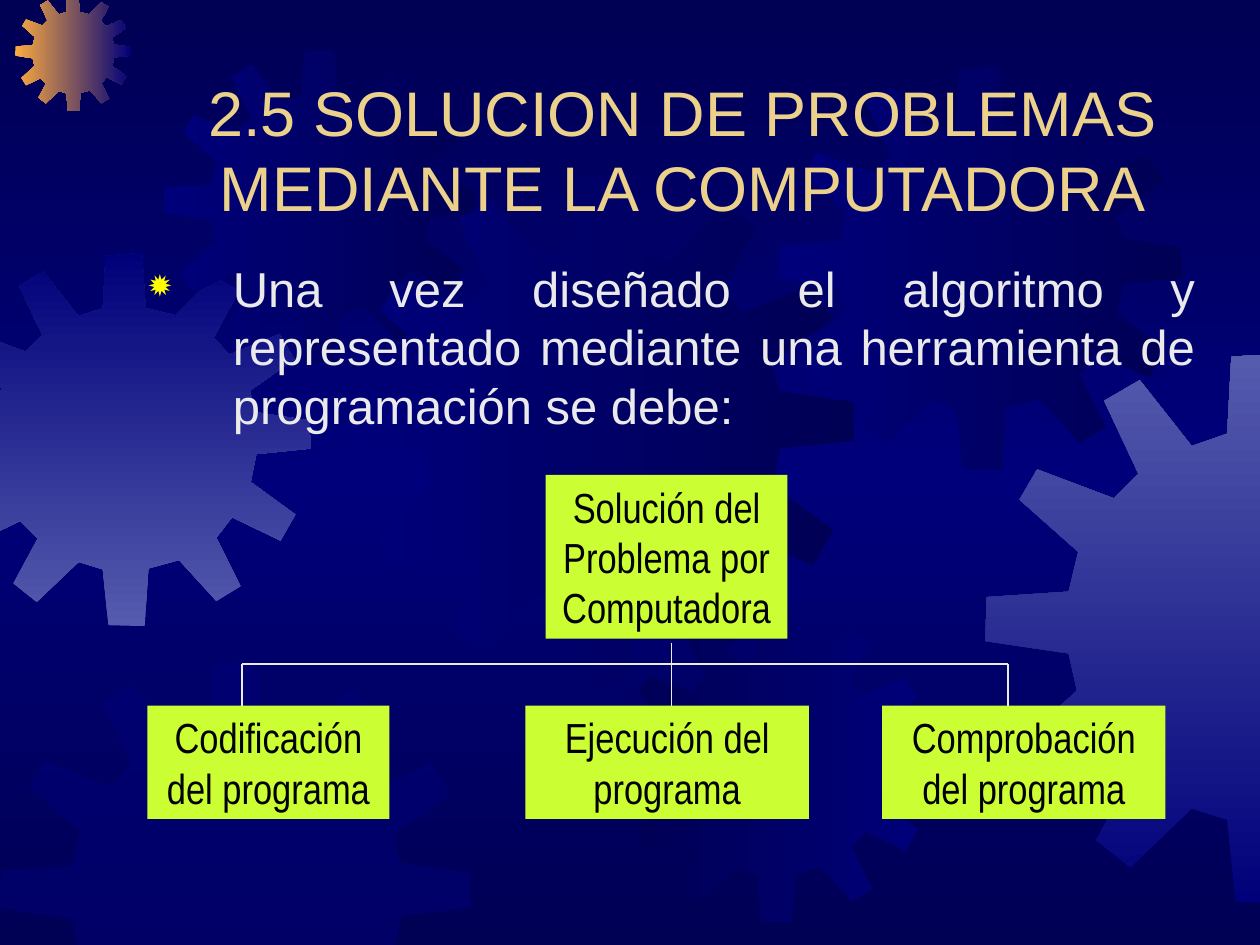
from copy import deepcopy

from pptx import Presentation
from pptx.dml.color import RGBColor
from pptx.enum.shapes import MSO_CONNECTOR, MSO_SHAPE
from pptx.enum.text import MSO_ANCHOR, MSO_AUTO_SIZE, PP_ALIGN
from pptx.oxml.ns import qn
from pptx.util import Inches, Pt
from lxml.etree import SubElement

WIDTH, HEIGHT = 10, 7.5
COLORS = {
    "night": "000054", "navy": "00007A", "haze": "555BAD", "orange": "FCAB40",
    "title": "EBD189", "text": "EAEAEA", "bullet": "FFFF00",
    "box": "CCFF33", "box_text": "000000",
}
GEAR_SIZE = 401
GEAR_OUTLINE = [
    (255, 67), (223, 59), (219, 0), (180, 3), (177, 59), (151, 68),
    (113, 20), (87, 35), (112, 88), (94, 106), (38, 85), (25, 107),
    (68, 145), (61, 174), (1, 178), (0, 210), (61, 219), (67, 246),
    (22, 287), (38, 312), (88, 288), (107, 307), (81, 355), (106, 375),
    (151, 332), (177, 340), (183, 400), (222, 401), (226, 339), (259, 330),
    (299, 374), (325, 358), (299, 306), (316, 284), (368, 309), (384, 281),
    (336, 246), (342, 216), (401, 210), (400, 180), (341, 171), (335, 148),
    (383, 114), (367, 87), (313, 109), (296, 91), (323, 41), (297, 25),
]
GEARS = [
    ((-0.49, 2.01, 2.96, 2.96), ("haze", "navy"), 90),
    ((0.12, -0.04, 0.92, 0.92), ("orange", "navy"), 0),
    ((1.3, 0.39, 2.48, 2.48), ("night", "navy"), 180),
    ((2.77, 1.39, 4.01, 4.02), ("navy", "night"), 0),
    ((0, 5.25, 3.74, 3.74), ("navy",), 0),
    ((4.91, 4.84, 2.48, 2.48), ("night", "navy"), 0),
    ((6.18, 0.53, 3.2, 3.2), ("navy", "night"), 0),
    ((7.82, 2.8, 4.35, 4.37), ("navy", "haze"), 90),
]


def color(name):
    return RGBColor.from_string(COLORS[name])


def apply(target, values):
    for name, value in values.items():
        setattr(target, name, value)


def paint_gradient(fill, names, angle):
    fill.gradient()
    fill.gradient_angle = angle
    for stop, name, position in zip(fill.gradient_stops, names, (0, 1)):
        stop.color.rgb = color(name)
        stop.position = position


def paint_background(slide):
    fill = slide.background.fill
    paint_gradient(fill, ("night", "navy"), 270)
    stops = next(slide._element.iter(qn("a:gsLst")))
    stops.append(deepcopy(stops[0]))
    fill.gradient_stops[1].position = 0.5
    fill.gradient_stops[2].position = 1


def clip(points, axis, limit, sign):
    kept = []
    for start, end in zip(points[-1:] + points[:-1], points):
        before, after = ((point[axis] - limit) * sign for point in (start, end))
        if before * after < 0:
            share = before / (before - after)
            kept.append(tuple(a + (b - a) * share for a, b in zip(start, end)))
        if after >= 0:
            kept.append(end)
    return kept


def add_gear(slide, box, fill_names, angle):
    left, top, width, height = box
    points = [(left + x * width / GEAR_SIZE, top + y * height / GEAR_SIZE)
              for x, y in GEAR_OUTLINE]
    for axis, limit, sign in ((0, 0, 1), (0, WIDTH, -1), (1, 0, 1), (1, HEIGHT, -1)):
        points = clip(points, axis, limit, sign)
    corners = [(Inches(x), Inches(y)) for x, y in points]
    builder = slide.shapes.build_freeform(*corners[0])
    builder.add_line_segments(corners[1:], close=True)
    gear = builder.convert_to_shape()
    gear.shadow.inherit = False
    gear.line.fill.background()
    if len(fill_names) > 1:
        paint_gradient(gear.fill, fill_names, angle)
        return
    gear.fill.solid()
    gear.fill.fore_color.rgb = color(fill_names[0])
    rgb = next(gear._element.iter(qn("a:srgbClr")))
    SubElement(rgb, qn("a:alpha"), val="50000")


def write(shape, text, frame_format, paragraph_format, font_format, color_name):
    frame = shape.text_frame
    apply(frame, {"word_wrap": True, **frame_format})
    paragraph = frame.paragraphs[0]
    apply(paragraph, paragraph_format)
    run = paragraph.add_run()
    run.text = text
    apply(run.font, font_format)
    run.font.color.rgb = color(color_name)
    return paragraph


def add_title(slide, box):
    shape = slide.shapes.add_textbox(*map(Inches, box))
    write(shape, "2.5 SOLUCION DE PROBLEMAS MEDIANTE LA COMPUTADORA",
          {"vertical_anchor": MSO_ANCHOR.BOTTOM}, {"alignment": PP_ALIGN.CENTER},
          {"name": "Arial", "size": Pt(36)}, "title")


def add_body(slide, box):
    shape = slide.shapes.add_textbox(*map(Inches, box))
    paragraph = write(
        shape,
        "Una vez diseñado el algoritmo y representado mediante una herramienta "
        "de programación se debe:",
        {"vertical_anchor": MSO_ANCHOR.TOP},
        {"alignment": PP_ALIGN.JUSTIFY, "space_before": Pt(7)},
        {"name": "Arial", "size": Pt(28)}, "text")
    properties = paragraph._p.get_or_add_pPr()
    indent = Inches(0.67)
    properties.set("marL", str(indent))
    properties.set("indent", str(-indent))
    bullet_color = SubElement(properties, qn("a:buClr"))
    SubElement(bullet_color, qn("a:srgbClr"), val=COLORS["bullet"])
    SubElement(properties, qn("a:buSzPct"), val="80000")
    SubElement(properties, qn("a:buChar"), char="✹")


def add_box(slide, box, text):
    shape = slide.shapes.add_shape(MSO_SHAPE.RECTANGLE, *map(Inches, box))
    shape.shadow.inherit = False
    shape.fill.solid()
    shape.fill.fore_color.rgb = color("box")
    shape.line.fill.background()
    write(shape, text,
          {"vertical_anchor": MSO_ANCHOR.TOP,
           "auto_size": MSO_AUTO_SIZE.SHAPE_TO_FIT_TEXT},
          {"alignment": PP_ALIGN.CENTER, "space_before": Pt(15)},
          {"name": "Arial Narrow", "size": Pt(24)}, "box_text")


def add_line(slide, *ends):
    line = slide.shapes.add_connector(MSO_CONNECTOR.STRAIGHT, *map(Inches, ends))
    line.line.color.rgb = color("text")
    line.line.width = Pt(0.75)
    SubElement(line._element.spPr, qn("a:effectLst"))


def add_hierarchy(slide, box):
    left, top, width, height = box
    child_height = 0.9
    child_top = top + height - child_height
    rail = top + 1.5
    branches = [
        (0, 1.92, 0.75, "Codificación del programa"),
        (3, 2.25, 4.16, "Ejecución del programa"),
        (width - 2.25, 2.25, 6.83, "Comprobación del programa"),
    ]
    add_box(slide, (left + 3.16, top, 1.92, 1.3), "Solución del Problema por Computadora")
    for offset, child_width, _, text in branches:
        add_box(slide, (left + offset, child_top, child_width, child_height), text)
    stems = [left + stem for _, _, stem, _ in branches]
    add_line(slide, stems[0], rail, stems[-1], rail)
    add_line(slide, stems[1], top + 1.33, stems[1], rail)
    for stem in stems:
        add_line(slide, stem, rail, stem, child_top)


def main():
    presentation = Presentation()
    apply(presentation, {"slide_width": Inches(WIDTH), "slide_height": Inches(HEIGHT)})
    slide = presentation.slides.add_slide(presentation.slide_layouts[6])
    paint_background(slide)
    for gear in GEARS:
        add_gear(slide, *gear)
    add_title(slide, (1.17, 0.58, 8.5, 1.25))
    add_body(slide, (1.08, 2, 8.5, 1.67))
    add_hierarchy(slide, (1.17, 3.77, 8.08, 2.73))
    presentation.save("out.pptx")


if __name__ == "__main__":
    main()
